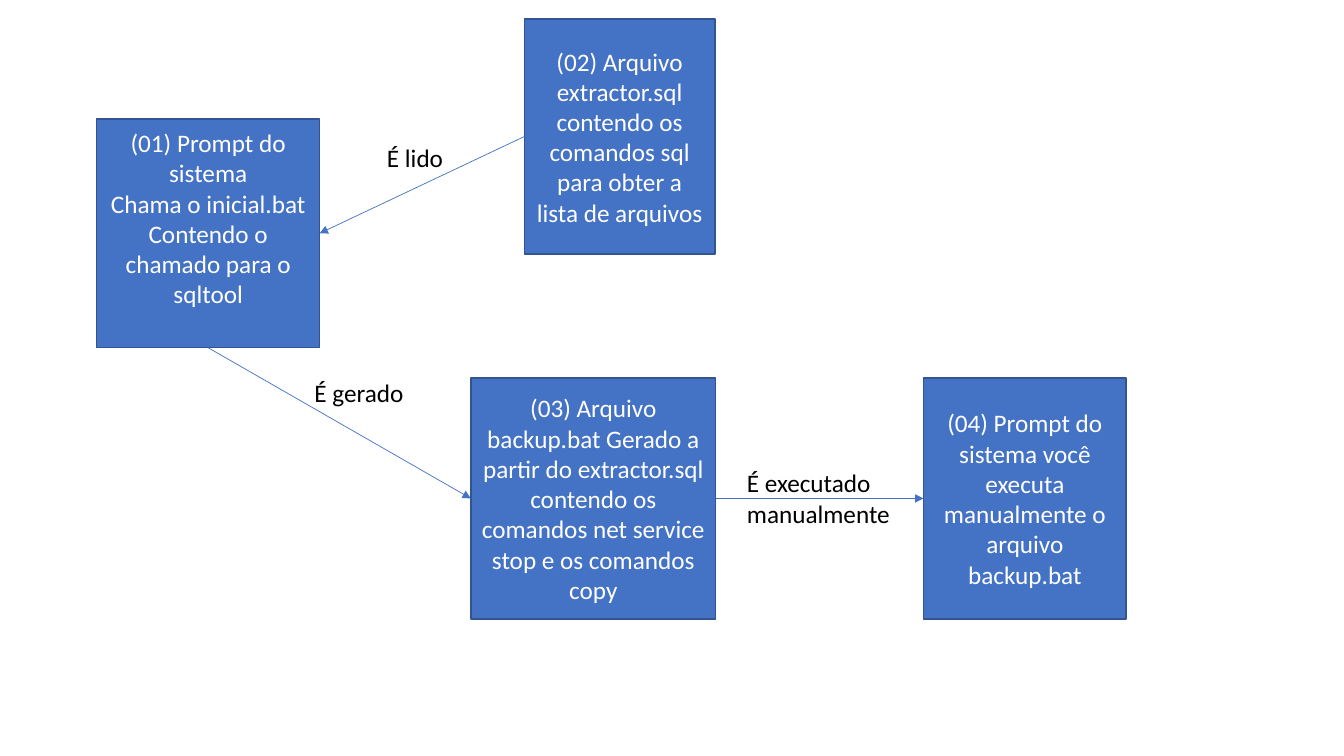
from lxml.etree import SubElement
from pptx import Presentation
from pptx.dml.color import RGBColor
from pptx.enum.shapes import MSO_CONNECTOR, MSO_SHAPE
from pptx.enum.text import MSO_ANCHOR, MSO_AUTO_SIZE, PP_ALIGN
from pptx.oxml.ns import qn
from pptx.util import Emu, Pt

COLORS = {"box": "4472C4", "border": "325491", "box_text": "FFFFFF", "label": "000000"}
TOP, LEFT, BOTTOM, RIGHT = range(4)  # connection sites of a rectangle


def px(length):
    """One px is a hundredth of an inch."""
    return Emu(length * 9144)


def color(name):
    return RGBColor.from_string(COLORS[name])


class FlowSlide:
    font_name = "Calibri"
    font_size = Pt(18)

    def __init__(self, presentation):
        self.shapes = presentation.slides.add_slide(presentation.slide_layouts[6]).shapes

    def set_text(self, frame, lines, color_name, alignment):
        frame.text = "\n".join(lines)
        for paragraph in frame.paragraphs:
            paragraph.alignment = alignment
            paragraph.font.name = self.font_name
            paragraph.font.size = self.font_size
            paragraph.font.color.rgb = color(color_name)

    def box(self, left, top, width, height, *lines, bottom_margin=5):
        shape = self.shapes.add_shape(
            MSO_SHAPE.RECTANGLE, px(left), px(top), px(width), px(height))
        shape.shadow.inherit = False
        shape.fill.solid()
        shape.fill.fore_color.rgb = color("box")
        shape.line.color.rgb = color("border")
        shape.line.width = Pt(1)
        frame = shape.text_frame
        frame.word_wrap = True
        frame.vertical_anchor = MSO_ANCHOR.MIDDLE
        frame.margin_bottom = px(bottom_margin)
        self.set_text(frame, lines, "box_text", PP_ALIGN.CENTER)
        return shape

    def label(self, left, top, width, height, *lines):
        frame = self.shapes.add_textbox(px(left), px(top), px(width), px(height)).text_frame
        frame.word_wrap = False
        frame.auto_size = MSO_AUTO_SIZE.SHAPE_TO_FIT_TEXT
        self.set_text(frame, lines, "label", PP_ALIGN.LEFT)

    def arrow(self, source, source_site, target, target_site):
        connector = self.shapes.add_connector(MSO_CONNECTOR.STRAIGHT, 0, 0, 0, 0)
        connector.begin_connect(source, source_site)
        connector.end_connect(target, target_site)
        connector.line.color.rgb = color("box")
        connector.line.width = Pt(0.5)
        properties = connector._element.spPr
        SubElement(properties.find(qn("a:ln")), qn("a:tailEnd"), type="triangle")
        SubElement(properties, qn("a:effectLst"))


def main():
    presentation = Presentation()
    presentation.slide_width, presentation.slide_height = px(1333), px(750)
    flow = FlowSlide(presentation)

    # Steps
    prompt = flow.box(
        96, 118, 221, 227,
        "(01) Prompt do sistema", "Chama o inicial.bat",
        "Contendo o chamado para o sqltool", bottom_margin=35)
    extractor = flow.box(
        520, 19, 189, 233,
        "(02) Arquivo extractor.sql contendo os comandos sql para obter a lista de arquivos")
    backup = flow.box(
        467, 375, 243, 239,
        "(03) Arquivo backup.bat Gerado a partir do extractor.sql contendo os "
        "comandos net service stop e os comandos copy")
    execution = flow.box(
        916, 375, 201, 239,
        "(04) Prompt do sistema você executa manualmente o arquivo backup.bat")

    # Arrows between the steps
    flow.arrow(extractor, LEFT, prompt, RIGHT)
    flow.arrow(prompt, BOTTOM, backup, LEFT)
    flow.arrow(backup, RIGHT, execution, LEFT)

    # Arrow labels
    flow.label(374, 136, 76, 40, "É lido")
    flow.label(302, 369, 110, 40, "É gerado")
    flow.label(731, 459, 164, 71, "É executado", "manualmente")

    presentation.save("out.pptx")


if __name__ == "__main__":
    main()
